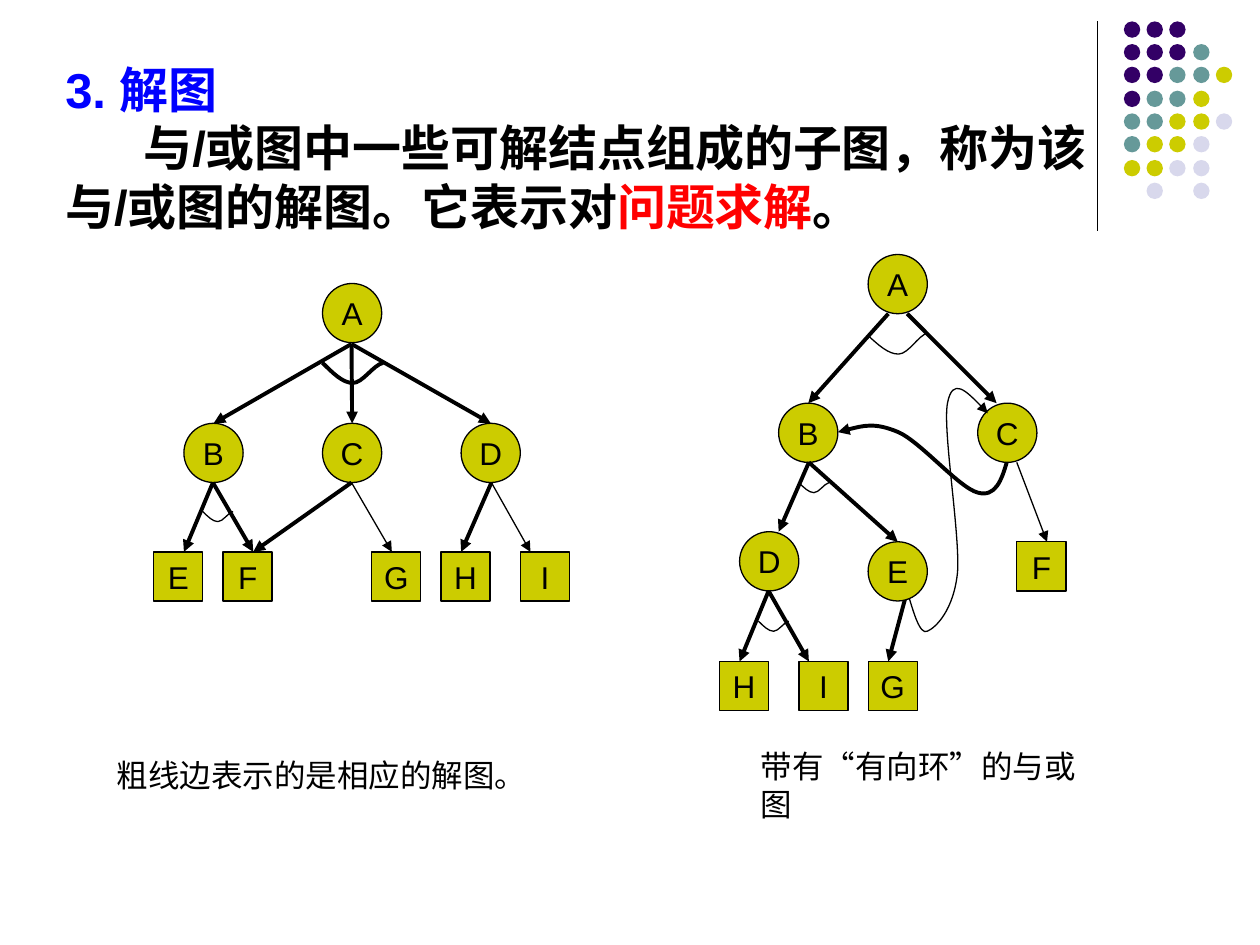
from dataclasses import dataclass

from pptx import Presentation
from pptx.dml.color import RGBColor
from pptx.enum.shapes import MSO_CONNECTOR, MSO_SHAPE
from pptx.enum.text import MSO_ANCHOR, MSO_AUTO_SIZE, PP_ALIGN
from pptx.oxml.ns import qn
from pptx.util import Emu, Pt
from lxml import etree

OVAL, SQUARE = MSO_SHAPE.OVAL, MSO_SHAPE.RECTANGLE
STRAIGHT = MSO_CONNECTOR.STRAIGHT
MIDDLE, CENTER = MSO_ANCHOR.MIDDLE, PP_ALIGN.CENTER
GROW = MSO_AUTO_SIZE.SHAPE_TO_FIT_TEXT

SCALE = 9144  # EMU per px, 100 px to the inch
FONT = "Arial"
THIN, BOLD = 0.75, 2.25
COLORS = {
    "black": "000000", "blue": "0000FF", "red": "FF0000",
    "P": "330066", "T": "669999", "Y": "CCCC00", "L": "D8D8EC",
}
DOT_ROWS = ["PPP", "PPPT", "PPTTY", "PTTY", "TTYYL", "TYYL", "YYLL", " L L"]
ARC_POINTS = [(0, 0), (4, 4), (8, 8), (12, 8), (16, 8), (20, 1), (24, 0)]


@dataclass
class Node:
    name: str
    x: int
    y: int
    leaf: bool = False


@dataclass
class Edge:
    start: tuple[int, int]
    end: tuple[int, int]
    weight: float = BOLD
    target: str = ""  # node whose top middle the edge reaches


@dataclass
class Curve:
    points: list[tuple[int, int]]
    weight: float = THIN
    arrow: bool = False
    rotation: float = 0


def px(length: int) -> Emu:
    return Emu(length * SCALE)


def color(name: str) -> RGBColor:
    return RGBColor.from_string(COLORS[name])


def and_arc(x: int, y: int, size: int = 1, weight: float = THIN, rotation: float = 0) -> Curve:
    """Arc that joins the edges of an AND node."""
    points = [(x + dx * size, y + dy * size) for dx, dy in ARC_POINTS]
    return Curve(points, weight, rotation=rotation)


def style_line(shape, weight: float, arrow: bool = False) -> None:
    shape.line.color.rgb = color("black")
    shape.line.width = Pt(weight)
    if arrow:
        line = shape.line._get_or_add_ln()
        etree.SubElement(line, qn("a:tailEnd"), type="triangle")


def style_span(span, size: int, name: str = "black", bold: bool = False) -> None:
    span.font.name = FONT
    span.font.size = Pt(size)
    span.font.bold = bold
    span.font.color.rgb = color(name)


def add_filled(page, kind, x: int, y: int, size: int, fill: str):
    shape = page.shapes.add_shape(kind, px(x), px(y), px(size), px(size))
    shape.shadow.inherit = False
    shape.fill.solid()
    shape.fill.fore_color.rgb = color(fill)
    return shape


def add_line(page, start: tuple[int, int], end: tuple[int, int], weight: float, arrow: bool = False):
    line = page.shapes.add_connector(STRAIGHT, *map(px, start + end))
    style_line(line, weight, arrow)
    properties = line._element.find(qn("p:spPr"))
    etree.SubElement(properties, qn("a:effectLst"))
    return line


def draw_node(page, node: Node):
    kind, size = (SQUARE, 39) if node.leaf else (OVAL, 47)
    shape = add_filled(page, kind, node.x, node.y, size, "Y")
    style_line(shape, THIN)
    frame = shape.text_frame
    frame.text = node.name
    frame.word_wrap = False
    frame.vertical_anchor = MIDDLE
    frame.paragraphs[0].alignment = CENTER
    style_span(frame.paragraphs[0].runs[0], 18)
    return shape


def draw_curve(page, curve: Curve) -> None:
    """Draw a Bezier chain: a start point, then three points for each segment."""
    builder = page.shapes.build_freeform(*curve.points[0], scale=SCALE)
    builder.add_line_segments(curve.points[1:], close=False)
    shape = builder.convert_to_shape()
    outline = shape._element.find(".//" + qn("a:path"))
    steps = outline.findall(qn("a:lnTo"))
    for first in range(0, len(steps), 3):
        segment = etree.SubElement(outline, qn("a:cubicBezTo"))
        for step in steps[first:first + 3]:
            segment.append(step[0])
            outline.remove(step)
    shape.shadow.inherit = False
    shape.fill.background()
    shape.rotation = curve.rotation
    style_line(shape, curve.weight, curve.arrow)


def draw_graph(page, parts: list[Node | Edge | Curve]) -> None:
    """Draw the parts from back to front."""
    shapes = {}
    for part in parts:
        if isinstance(part, Node):
            shapes[part.name] = draw_node(page, part)
        elif isinstance(part, Curve):
            draw_curve(page, part)
        else:
            line = add_line(page, part.start, part.end, part.weight, arrow=True)
            if part.target:
                line.end_connect(shapes[part.target], 0)


def add_text(page, x: int, y: int, width: int, height: int, lines: list[str]):
    box = page.shapes.add_textbox(px(x), px(y), px(width), px(height))
    frame = box.text_frame
    frame.text = "\n".join(lines)
    frame.word_wrap = True
    frame.auto_size = GROW
    for paragraph in frame.paragraphs:
        for span in paragraph.runs:
            style_span(span, 18)
    return frame


LEFT_GRAPH = [
    Node("A", 256, 225), Node("B", 146, 336), Node("C", 256, 336), Node("D", 366, 336),
    *[Node(name, x, 438, leaf=True) for name, x in zip("EFGHI", (122, 177, 295, 350, 413))],
    Edge((279, 273), (169, 336), target="B"),
    Edge((279, 273), (279, 336), target="C"),
    Edge((279, 273), (390, 336), target="D"),
    Edge((169, 383), (146, 438)), Edge((390, 383), (366, 438)), Edge((169, 383), (201, 438)),
    Edge((279, 383), (311, 438), THIN), Edge((390, 383), (421, 438), THIN),
    and_arc(256, 288, 2, BOLD), and_arc(161, 406),
    Edge((279, 383), (201, 438)),
]
RIGHT_GRAPH = [
    Node("A", 689, 202), Node("B", 618, 320), Node("C", 776, 320), Node("D", 587, 422),
    Node("F", 807, 430, leaf=True), Node("G", 689, 525, leaf=True),
    Node("H", 571, 525, leaf=True), Node("I", 634, 525, leaf=True),
    Edge((705, 249), (642, 320), target="B"), Edge((720, 249), (791, 320)),
    Edge((642, 367), (618, 422)), Edge((610, 469), (587, 525)),
    Edge((807, 367), (831, 430), THIN), Edge((610, 469), (642, 525)),
    and_arc(689, 265, 2, rotation=-2.5), and_arc(634, 383), and_arc(602, 493),
    Edge((720, 469), (705, 525)),
    Curve([(720, 469), (725, 486), (730, 504), (736, 501), (743, 498), (757, 484), (760, 454),
           (762, 423), (748, 341), (752, 320), (756, 299), (770, 313), (784, 328)], arrow=True),
    Node("E", 689, 430),
    Edge((642, 367), (713, 430), target="E"),
    Curve([(799, 367), (795, 381), (790, 395), (776, 391), (761, 387),
           (731, 351), (713, 343), (694, 335), (680, 339), (665, 343)], BOLD, arrow=True),
]


def main() -> None:
    deck = Presentation()
    deck.slide_width, deck.slide_height = px(1000), px(750)
    page = deck.slides.add_slide(deck.slide_layouts[6])

    add_line(page, (871, 17), (871, 183), THIN)
    for row, letters in enumerate(DOT_ROWS):
        for column, letter in enumerate(letters):
            if letter != " ":
                dot = add_filled(page, OVAL, 892 + column * 55 // 3, 17 + row * 55 // 3, 13, letter)
                dot.line.fill.background()

    frame = add_text(page, 42, 42, 883, 150, ["3. 解图", ""])
    heading, body = frame.paragraphs
    style_span(heading.runs[0], 28, "blue", bold=True)
    body._p.get_or_add_pPr().set("indent", str(px(62)))
    for words, name in [("与/或图中一些可解结点组成的子图，称为该与/或图的解图。它表示对", "black"),
                        ("问题求解", "red"), ("。", "black")]:
        span = body.add_run()
        span.text = words
        style_span(span, 28, name, bold=True)

    draw_graph(page, LEFT_GRAPH)
    draw_graph(page, RIGHT_GRAPH)
    add_text(page, 594, 588, 291, 70, ["带有“有向环”的与或图"])
    add_text(page, 83, 595, 362, 40, ["粗线边表示的是相应的解图。"])
    deck.save("out.pptx")


if __name__ == "__main__":
    main()
